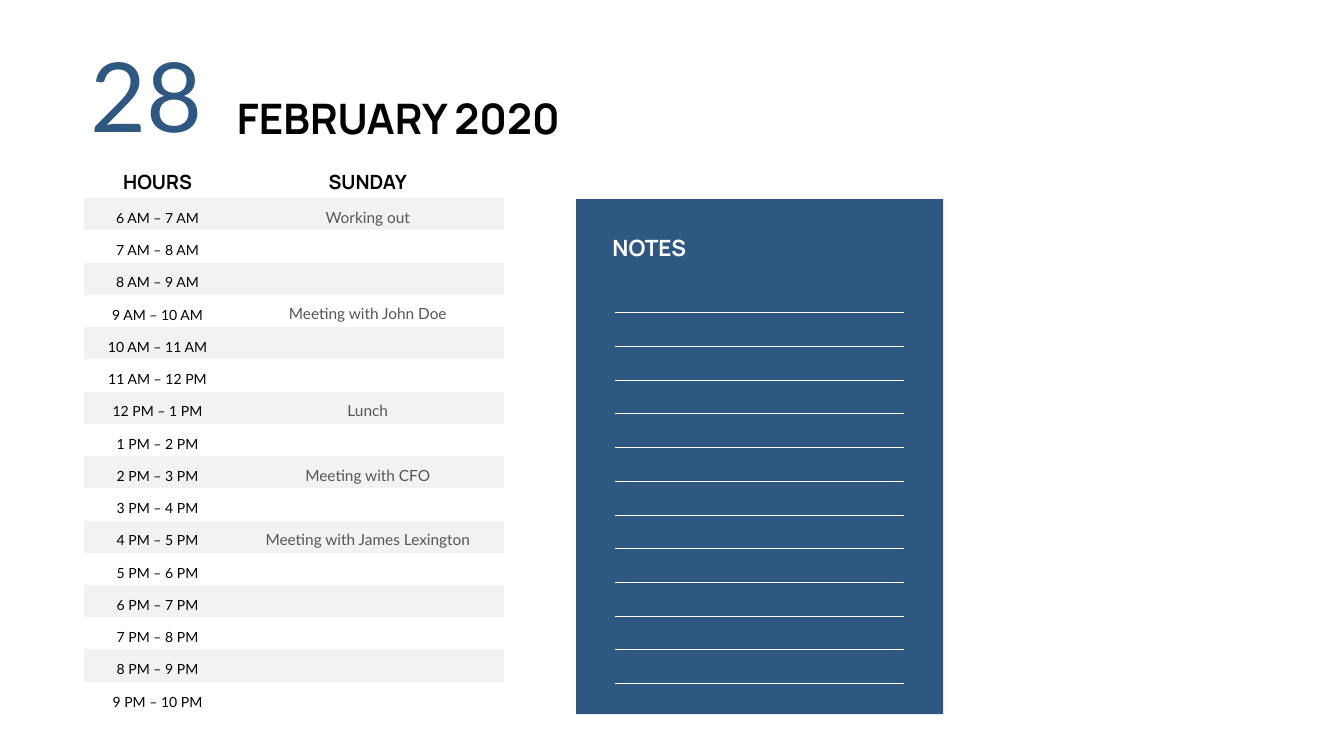
"""Build a one-day planner slide with an hourly table and a notes panel."""
from typing import NamedTuple

from lxml.etree import SubElement
from pptx import Presentation
from pptx.dml.color import RGBColor
from pptx.enum.shapes import MSO_CONNECTOR, MSO_SHAPE
from pptx.enum.text import MSO_ANCHOR, MSO_AUTO_SIZE, PP_ALIGN
from pptx.oxml.ns import qn
from pptx.util import Inches, Pt

NAVY = RGBColor(0x2E, 0x58, 0x82)
BLACK = RGBColor(0, 0, 0)
WHITE = RGBColor(255, 255, 255)
GREY = RGBColor(0x56, 0x56, 0x56)
BAND = RGBColor(0xF2, 0xF2, 0xF2)
NO_STYLE = "{2D5ABB26-0587-4C30-8999-92F81FD0307C}"

FIRST_HOUR, LAST_HOUR = 6, 22
EVENTS = {
    6: "Working out",
    9: "Meeting with John Doe",
    12: "Lunch",
    14: "Meeting with CFO",
    16: "Meeting with James Lexington",
}
COLUMN_WIDTHS = (2.93, 5.41)
HEADER_HEIGHT, ROW_HEIGHT = 0.65, 0.64
RULE_COUNT, RULE_TOP, RULE_GAP = 12, 6.2, 0.669


class Style(NamedTuple):
    font: str
    size: int
    color: RGBColor
    bold: bool = False
    align: PP_ALIGN = PP_ALIGN.LEFT


class Area(NamedTuple):
    left: float
    top: float
    width: float
    height: float


DAY = Style("Lato", 138, NAVY, align=PP_ALIGN.RIGHT)
MONTH = Style("Manrope", 60, BLACK, True)
NOTES = Style("Manrope", 32, WHITE, True)
HEADER = Style("Manrope", 28, BLACK, True, PP_ALIGN.CENTER)
HOUR = Style("Lato", 20, BLACK, align=PP_ALIGN.CENTER)
EVENT = Style("Lato", 22, GREY, align=PP_ALIGN.CENTER)


def write(frame, text: str, style: Style):
    """Put one styled paragraph in a text frame and return it."""
    para = frame.paragraphs[0]
    para.text = text
    para.alignment = style.align
    para.font.name = style.font
    para.font.size = Pt(style.size)
    para.font.bold = style.bold
    para.font.color.rgb = style.color
    return para


def place_label(box, area: Area, text: str, style: Style) -> None:
    """Move a text shape and fill it with a bottom-anchored label."""
    box.left, box.top, box.width, box.height = map(Inches, area)
    frame = box.text_frame
    write(frame, text, style)
    frame.word_wrap = False
    frame.auto_size = MSO_AUTO_SIZE.SHAPE_TO_FIT_TEXT
    frame.vertical_anchor = MSO_ANCHOR.BOTTOM


def add_label(page, area: Area, text: str, style: Style) -> None:
    """Add a text box holding a label."""
    place_label(page.shapes.add_textbox(*map(Inches, area)), area, text, style)


def clock(hour: int) -> str:
    """Name an hour on the twelve-hour clock."""
    return f"{(hour - 1) % 12 + 1} {'AM' if hour < 12 else 'PM'}"


def add_schedule(page) -> None:
    """Add the hourly table with alternate rows shaded."""
    hours = range(FIRST_HOUR, LAST_HOUR)
    height = HEADER_HEIGHT + ROW_HEIGHT * len(hours)
    area = Area(1.66, 3.28, sum(COLUMN_WIDTHS), height)
    table = page.shapes.add_table(len(hours) + 1, 2, *map(Inches, area)).table
    table.first_row = table.horz_banding = False
    table._tbl.tblPr.find(qn("a:tableStyleId")).text = NO_STYLE
    for column, width in zip(table.columns, COLUMN_WIDTHS):
        column.width = Inches(width)
    for row in table.rows:
        row.height = Inches(ROW_HEIGHT)
    table.rows[0].height = Inches(HEADER_HEIGHT)

    for cell, text in zip(table.rows[0].cells, ("HOURS", "SUNDAY")):
        write(cell.text_frame, text, HEADER)
        cell.vertical_anchor = MSO_ANCHOR.BOTTOM
        cell.fill.background()

    for index, hour in enumerate(hours):
        texts = (f"{clock(hour)} – {clock(hour + 1)}", EVENTS.get(hour))
        cells = table.rows[index + 1].cells
        for cell, text, style in zip(cells, texts, (HOUR, EVENT)):
            if text:
                write(cell.text_frame, text, style).line_spacing = Pt(37)
            if index % 2:
                cell.fill.background()
            else:
                cell.fill.solid()
                cell.fill.fore_color.rgb = BAND


def add_rule(page, top: float) -> None:
    """Add one thin writing line to the notes panel."""
    rule = page.shapes.add_connector(
        MSO_CONNECTOR.STRAIGHT, Inches(12.19), Inches(top), Inches(17.94), Inches(top)
    )
    rule.line.color.rgb = WHITE
    rule.line.width = Pt(0.5)
    SubElement(rule._element.spPr, qn("a:effectLst"))


def add_notes(page) -> None:
    """Add the notes panel, its heading and its writing lines."""
    area = Area(11.43, 3.95, 7.28, 10.22)
    panel = page.shapes.add_shape(MSO_SHAPE.RECTANGLE, *map(Inches, area))
    panel.shadow.inherit = False
    panel.fill.solid()
    panel.fill.fore_color.rgb = NAVY
    panel.line.fill.background()
    add_label(page, Area(12.05, 4.58, 1.67, 0.64), "NOTES", NOTES)
    for index in range(RULE_COUNT):
        add_rule(page, RULE_TOP + index * RULE_GAP)


def main() -> None:
    """Build and save the deck."""
    deck = Presentation()
    deck.slide_width, deck.slide_height = Inches(26.66), Inches(15)
    page = deck.slides.add_slide(deck.slide_layouts[5])
    place_label(page.shapes.title, Area(4.6, 1.77, 6.78, 1.11), "FEBRUARY 2020", MONTH)
    add_label(page, Area(1.66, 0.64, 2.45, 2.42), "28", DAY)
    add_schedule(page)
    add_notes(page)
    deck.save("out.pptx")


if __name__ == "__main__":
    main()
